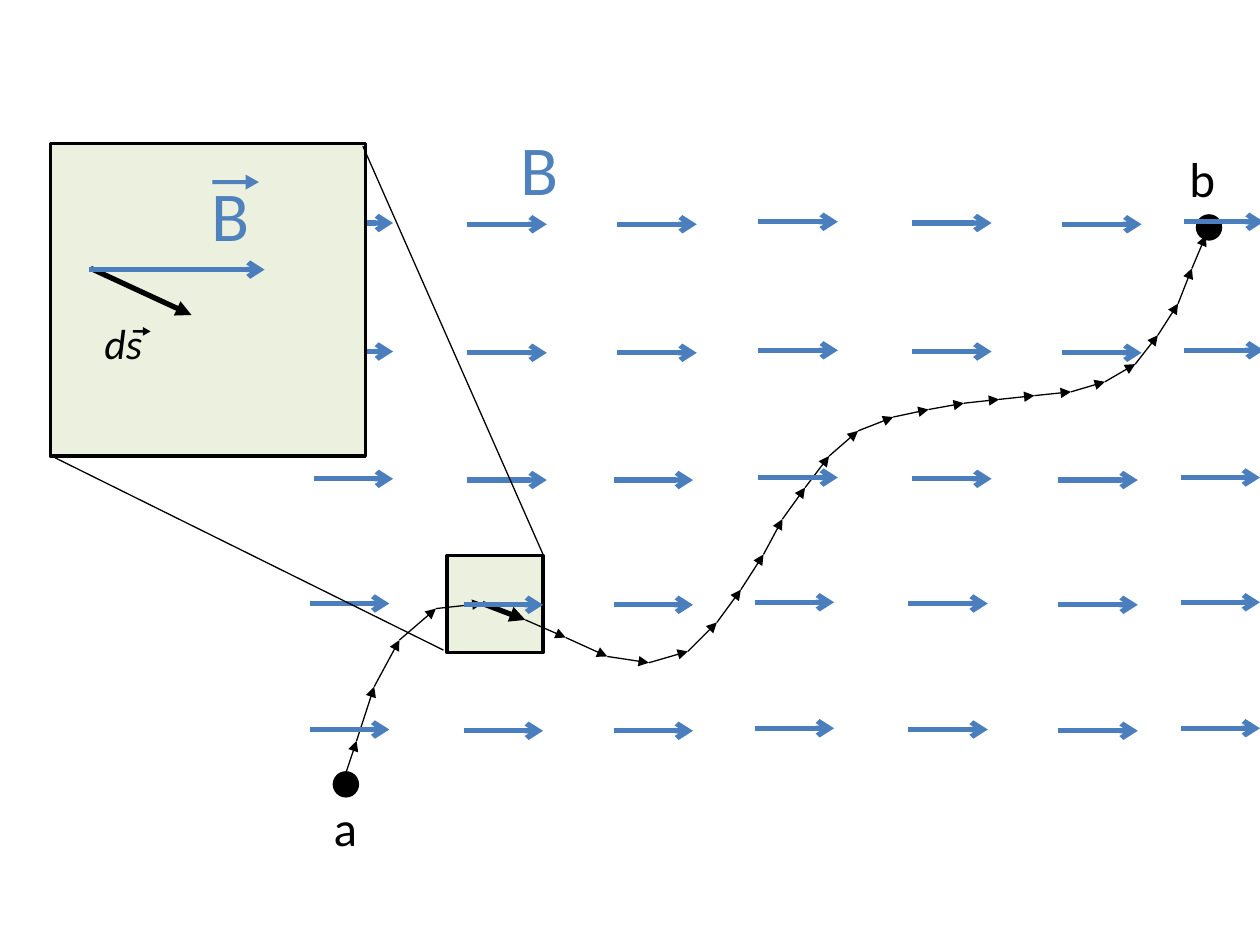
from itertools import pairwise

from lxml import etree
from pptx import Presentation
from pptx import util as u
from pptx.dml.color import RGBColor
from pptx.enum import shapes, text
from pptx.oxml.ns import qn

GRID_COLUMNS, GRID_ROWS = 1000, 750
SLIDE_WIDTH, SLIDE_HEIGHT = u.Inches(10), u.Inches(7.5)
BLACK, FIELD_BLUE, LABEL_BLUE, PALE_GREEN = "000000", "4B7EBC", "4F81BD", "EBF1DE"

FIELD_ROWS = [177, 279, 380, 479, 579]
FIELD_COLUMNS = [
    # left, vertical offset, first row that is set back to the left
    (249, 0, 3), (371, 1, 3), (490, 1, 2), (602, -1, 3),
    (724, 0, 3), (843, 1, 2), (940, -1, 2),
]
FIELD_LENGTH, SET_BACK = 63, 3

PATH_POINTS = [
    (269, 630), (283, 588), (297, 545), (317, 508), (346, 483), (383, 479),
    (417, 492), (449, 506), (482, 521), (515, 526), (546, 517), (569, 494),
    (588, 468), (606, 440), (621, 412), (639, 387), (658, 362), (681, 342),
    (709, 331), (737, 325), (765, 320), (793, 317), (821, 314), (850, 311),
    (877, 303), (901, 289), (919, 266), (935, 241), (946, 213), (957, 187),
]
ENLARGED_STEP = 5


def column(count):
    """Return the horizontal length of a number of grid columns."""
    return round(SLIDE_WIDTH * count / GRID_COLUMNS)


def row(count):
    """Return the vertical length of a number of grid rows."""
    return round(SLIDE_HEIGHT * count / GRID_ROWS)


def frame(left, top, width, height):
    """Turn a frame in grid units into slide lengths."""
    return column(left), row(top), column(width), row(height)


def paint(color_format, color):
    """Set a colour from a hex string."""
    color_format.rgb = RGBColor.from_string(color)


def add_line(slide, start, end, color=BLACK, width=0.75, head=None):
    """Add a straight line with an optional arrowhead at its end."""
    line = slide.shapes.add_connector(
        shapes.MSO_CONNECTOR.STRAIGHT,
        column(start[0]), row(start[1]), column(end[0]), row(end[1]))
    line.line.width = u.Pt(width)
    paint(line.line.color, color)
    if head:
        etree.SubElement(line.line._get_or_add_ln(), qn("a:tailEnd"), type=head)
    etree.SubElement(line._element.spPr, qn("a:effectLst"))
    return line


def add_field_arrow(slide, left, top, length=FIELD_LENGTH):
    """Add a horizontal arrow of the magnetic field."""
    add_line(slide, (left, top), (left + length, top), FIELD_BLUE, 3, "arrow")


def add_figure(slide, kind, place, fill, outline=None):
    """Add a filled preset shape with an optional outline."""
    shape = slide.shapes.add_shape(kind, *frame(*place))
    shape.shadow.inherit = False
    shape.fill.solid()
    paint(shape.fill.fore_color, fill)
    if outline:
        paint(shape.line.color, outline)
        shape.line.width = u.Pt(2)
    else:
        shape.line.fill.background()
    return shape


def add_square(slide, place):
    """Add a pale square with a black outline."""
    add_figure(slide, shapes.MSO_SHAPE.RECTANGLE, place, PALE_GREEN, BLACK)


def add_label(slide, place, words, size, color=BLACK, italic=None, wrap=False):
    """Add a one-line label."""
    shape = slide.shapes.add_textbox(*frame(*place))
    shape.text_frame.word_wrap = wrap
    shape.text_frame.auto_size = text.MSO_AUTO_SIZE.SHAPE_TO_FIT_TEXT
    shape.text_frame.text = words
    font = shape.text_frame.paragraphs[0].runs[0].font
    font.name, font.size, font.italic = "Calibri", u.Pt(size), italic
    paint(font.color, color)


def add_vector_mark(slide, place, color):
    """Add the small arrow that marks a letter as a vector."""
    shape = add_figure(slide, shapes.MSO_SHAPE.DOWN_ARROW, place, color)
    shape.adjustments[0], shape.adjustments[1] = 0.27, 0.88
    shape.rotation = 270


def add_path(slide):
    """Add the chain of steps from a to b."""
    for index, (start, end) in enumerate(pairwise(PATH_POINTS)):
        width = 3 if index == ENLARGED_STEP else 0.75
        add_line(slide, start, end, width=width, head="triangle")


def add_field(slide):
    """Add the grid of field arrows."""
    for left, offset, first_set_back in FIELD_COLUMNS:
        for index, top in enumerate(FIELD_ROWS):
            shift = SET_BACK if index >= first_set_back else 0
            add_field_arrow(slide, left - shift, top + offset)


def add_end_points(slide):
    """Add the dots and letters at both ends of the path."""
    for left, top in ((264, 612), (949, 170)):
        add_figure(slide, shapes.MSO_SHAPE.OVAL, (left, top, 21, 21), BLACK)
    add_label(slide, (255, 628, 39, 57), "a", 28)
    add_label(slide, (934, 113, 41, 57), "b", 28)


def add_enlargement(slide):
    """Add the enlarged view of one step and its field."""
    add_square(slide, (40, 114, 250, 248))
    add_line(slide, (72, 213), (152, 250), width=3, head="triangle")
    add_field_arrow(slide, 71, 214, 139)
    add_label(slide, (73, 247, 51, 50), "ds", 24, italic=True)
    add_vector_mark(slide, (109, 256, 7, 14), BLACK)
    add_label(slide, (158, 131, 50, 77), "B", 40, LABEL_BLUE, wrap=True)
    add_vector_mark(slide, (181, 126, 12, 37), LABEL_BLUE)
    add_line(slide, (352, 516), (41, 362))
    add_line(slide, (431, 440), (288, 116))


def main():
    """Build the slide and save it."""
    presentation = Presentation()
    presentation.slide_width, presentation.slide_height = SLIDE_WIDTH, SLIDE_HEIGHT
    slide = presentation.slides.add_slide(presentation.slide_layouts[6])
    add_square(slide, (355, 441, 76, 77))
    add_path(slide)
    add_end_points(slide)
    add_label(slide, (403, 95, 50, 77), "B", 40, LABEL_BLUE, wrap=True)
    add_field(slide)
    add_enlargement(slide)
    presentation.save("out.pptx")


if __name__ == "__main__":
    main()
